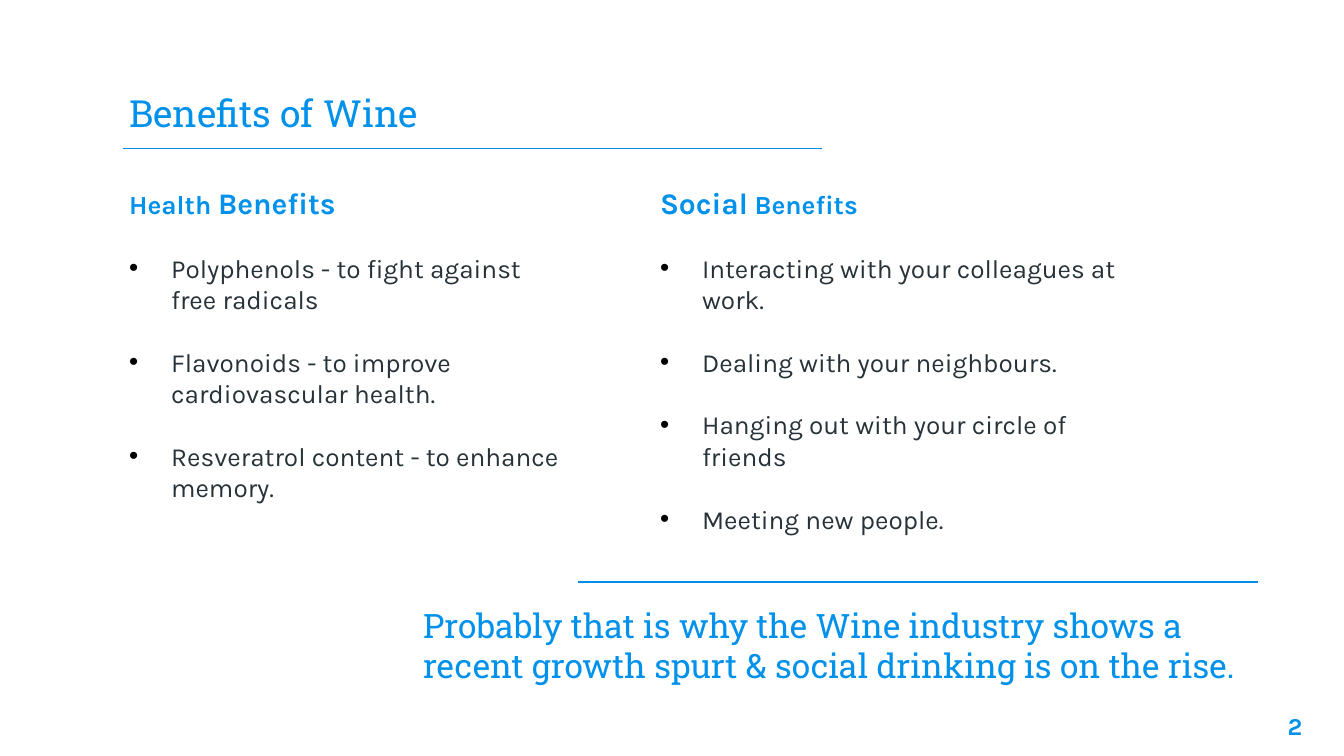
from lxml import etree
from pptx import Presentation
from pptx import util as u
from pptx.dml.color import RGBColor
from pptx.enum import shapes, text
from pptx.oxml import ns

PX = 5715  # EMU; 160 px to the inch
BLUE = RGBColor(0x00, 0x91, 0xEA)
RULE = RGBColor(0x00, 0x8E, 0xE5)
DARK = RGBColor(0x26, 0x32, 0x38)
HEAD = "Roboto Slab"
BODY = "Karla"
INSET = 16
INDENT = 50
GAP = 16.8  # points, one line of body text

HEALTH = [
    "Polyphenols - to fight against free radicals",
    "Flavonoids - to improve cardiovascular health.",
    "Resveratrol content - to enhance memory.",
]
SOCIAL = [
    "Interacting with your colleagues at work.",
    "Dealing with your neighbours.",
    "Hanging out with your circle of friends",
    "Meeting new people.",
]


def add_box(slide, left, top, width, height, pad=INSET):
    """Add a wrapping text box; pad is its top and bottom inset."""
    box = slide.shapes.add_textbox(left * PX, top * PX, width * PX, height * PX)
    frame = box.text_frame
    frame.word_wrap = True
    frame.margin_left = frame.margin_right = INSET * PX
    frame.margin_top = frame.margin_bottom = pad * PX
    return frame


def add_run(para, words, size, font=BODY, color=BLUE, bold=False):
    run = para.add_run()
    run.text = words
    run.font.size = u.Pt(size)
    run.font.name = font
    run.font.bold = bold
    run.font.color.rgb = color


def set_bullet(para):
    """Give a paragraph a black dot and a hanging indent."""
    props = para._p.get_or_add_pPr()
    props.set("marL", str(INDENT * PX))
    props.set("indent", str(-INDENT * PX))
    tint = etree.SubElement(props, ns.qn("a:buClr"))
    etree.SubElement(tint, ns.qn("a:srgbClr"), val="000000")
    etree.SubElement(props, ns.qn("a:buFont"), typeface="Arial")
    etree.SubElement(props, ns.qn("a:buChar"), char="•")


def add_list(slide, left, width, title, items):
    """Add a column: a heading of (words, size) runs above bullets."""
    frame = add_box(slide, left, 204, width, 403)
    para = frame.paragraphs[0]
    para.space_before = u.Pt(6)
    for words, size in title:
        add_run(para, words, size, bold=True)
    for item in items:
        para = frame.add_paragraph()
        para.space_before = u.Pt(GAP)
        set_bullet(para)
        add_run(para, item, 14, color=DARK)


def add_rule(slide, left, right, y):
    line = slide.shapes.add_connector(
        shapes.MSO_CONNECTOR.STRAIGHT, left * PX, y * PX, right * PX, y * PX
    )
    line.line.color.rgb = RULE
    line.line.width = u.Pt(0.75)
    etree.SubElement(line._element.spPr, ns.qn("a:effectLst"))


def main():
    deck = Presentation()
    deck.slide_width, deck.slide_height = 1600 * PX, 900 * PX
    slide = deck.slides.add_slide(deck.slide_layouts[6])

    title = add_box(slide, 138, 54, 1325, 123)
    title.vertical_anchor = text.MSO_ANCHOR.BOTTOM
    add_run(title.paragraphs[0], "Benefits of Wine", 20, HEAD)

    add_list(slide, 138, 557, [("Health ", 14), ("Benefits", 16)], HEALTH)
    add_list(slide, 770, 581, [("Social", 16), (" Benefits", 14)], SOCIAL)

    number = add_box(slide, 1470, 831, 96, 69).paragraphs[0]
    number.alignment = text.PP_ALIGN.RIGHT
    add_run(number, "2", 13, bold=True)

    close = add_box(slide, 488, 712, 1010, 162, pad=8)
    add_run(
        close.paragraphs[0],
        "Probably that is why the Wine industry shows a recent growth spurt "
        "& social drinking is on the rise.",
        18,
        HEAD,
    )

    add_rule(slide, 688, 1498, 693)
    add_rule(slide, 147, 979, 177)
    deck.save("out.pptx")


if __name__ == "__main__":
    main()
